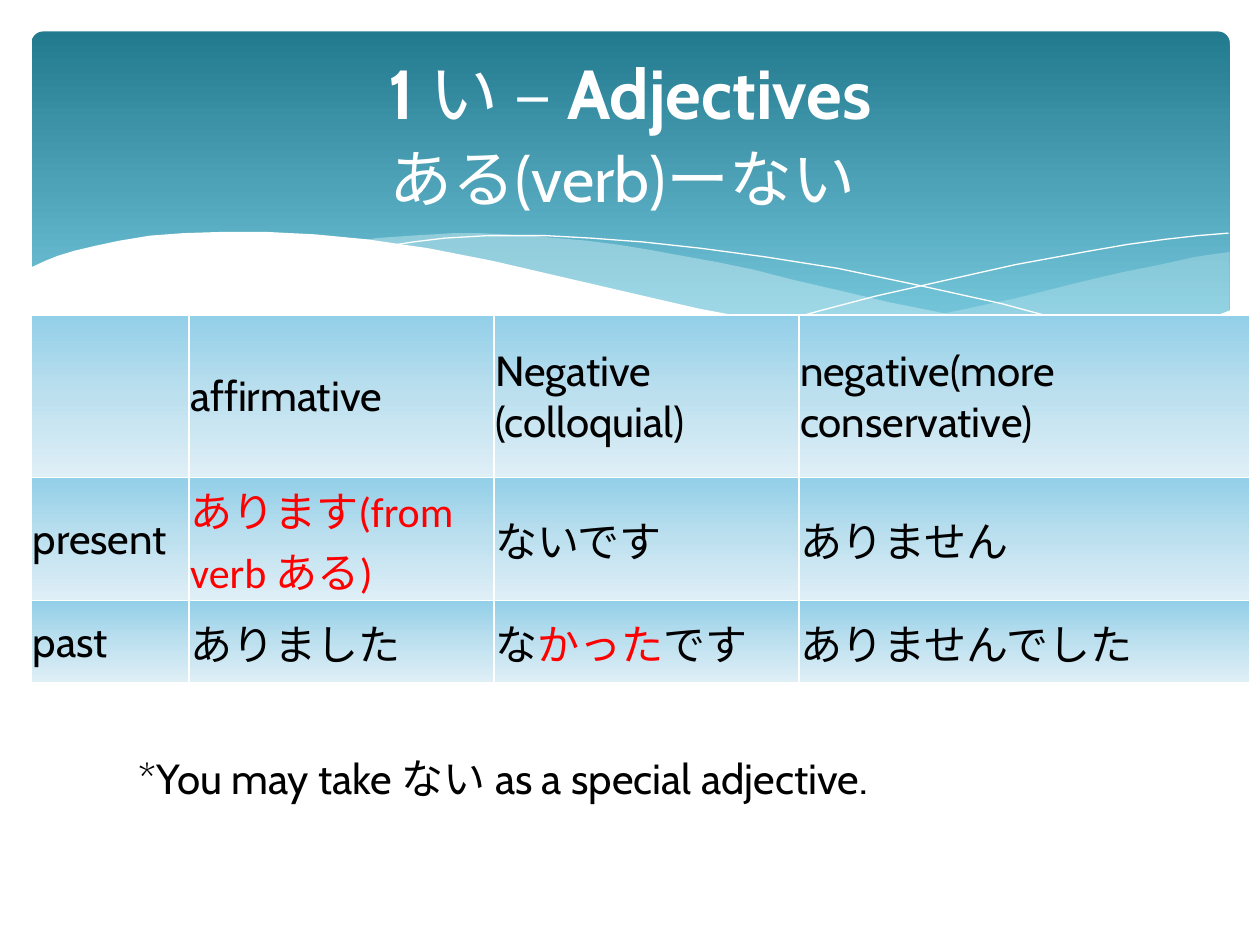
from dataclasses import dataclass
from typing import Optional

from lxml import etree
from pptx import Presentation
from pptx.dml.color import RGBColor
from pptx.enum.shapes import MSO_SHAPE
from pptx.enum.text import MSO_ANCHOR, PP_ALIGN
from pptx.oxml.ns import qn
from pptx.util import Emu, Pt

ROUNDED = MSO_SHAPE.ROUNDED_RECTANGLE
MIDDLE = MSO_ANCHOR.MIDDLE
CENTER = PP_ALIGN.CENTER
PX = 9144  # 100 px to the inch


@dataclass(frozen=True)
class Theme:
    white: str = "FFFFFF"
    black: str = "000000"
    red: str = "FF0000"
    mist: str = "DEF5FA"
    header: tuple = ((0, "227A8F"), (90, "7ACBE0"))
    cell: tuple = ((0, "92CFE8"), (50, "BDE0EF"), (100, "DFEFF6"))
    font: str = "Cabin"
    kana_font: str = "Calibri"
    title_size: float = 39.6
    subtitle_size: float = 36
    body_size: float = 24


THEME = Theme()


@dataclass(frozen=True)
class Span:
    text: str
    color: str = THEME.black
    font: str = THEME.font
    size: float = THEME.body_size
    bold: bool = False


@dataclass(frozen=True)
class Wave:
    points: tuple
    fill: Optional[str] = None
    opacity: int = 100


WAVES = (
    Wave(((975, 200), (948, 204), (921, 210), (891, 216), (861, 223), (805, 237),
          (753, 248), (706, 257), (661, 265), (691, 269), (719, 272), (745, 275),
          (769, 277), (803, 278), (835, 277), (863, 275), (889, 272), (913, 267),
          (935, 262), (949, 257), (976, 247), (976, 200)), THEME.mist, 29),
    Wave(((893, 273), (866, 269), (837, 265), (807, 260), (775, 254), (741, 247),
          (706, 240), (668, 231), (629, 222), (598, 214), (569, 208), (541, 203),
          (514, 198), (489, 194), (465, 191), (442, 189), (420, 187), (399, 186),
          (380, 185), (361, 185), (328, 187), (299, 189), (286, 191), (323, 196),
          (362, 203), (404, 211), (449, 222), (491, 232), (530, 240), (566, 248),
          (601, 255), (634, 261), (665, 266), (695, 270), (722, 274), (748, 276),
          (773, 277), (796, 278), (838, 278), (867, 276)), THEME.mist, 40),
    Wave(((309, 195), (328, 192), (353, 189), (387, 187), (433, 187), (469, 189),
          (510, 192), (556, 197), (608, 204), (665, 213), (727, 226), (795, 241),
          (869, 261), (907, 272))),
    Wave(((613, 257), (653, 246), (695, 235), (748, 223), (806, 210), (866, 199),
          (895, 194), (924, 190), (951, 187), (975, 185))),
    Wave(((977, 246), (959, 253), (940, 259), (920, 265), (899, 269), (875, 273),
          (850, 275), (823, 277), (793, 276), (761, 275), (726, 272), (688, 268),
          (648, 262), (603, 254), (555, 245), (503, 233), (447, 220), (391, 207),
          (340, 197), (292, 190), (250, 186), (211, 184), (177, 184), (146, 185),
          (119, 187), (95, 191), (76, 195), (59, 199), (46, 203), (36, 207),
          (23, 213), (23, 329), (977, 329)), THEME.white),
)

TITLE_LINES = (
    (Span("1 ", THEME.white, size=THEME.title_size, bold=True),
     Span("い – ", THEME.white, size=THEME.title_size),
     Span("Adjectives", THEME.white, size=THEME.title_size, bold=True)),
    (Span("ある(verb)ーない", THEME.white, size=THEME.subtitle_size),
     Span(" ", THEME.white, size=THEME.title_size, bold=True)),
)

# Each cell is a tuple of paragraphs, each paragraph a tuple of spans.
ROWS = (
    ((), ((Span("affirmative"),),),
     ((Span("Negative"),), (Span("(colloquial)"),)),
     ((Span("negative(more conservative)"),),)),
    (((Span("present"),),),
     ((Span("あります(from verb ある)", THEME.red, THEME.kana_font),),),
     ((Span("ないです"),),), ((Span("ありません"),),)),
    (((Span("past"),),),
     ((Span("ありました", font=THEME.kana_font),),),
     ((Span("な"), Span("かった", THEME.red), Span("です")),),
     ((Span("ありませんでした"),),)),
)
COLUMN_WIDTHS = (125, 242, 242, 358)
ROW_HEIGHTS = (129, 65, 65)


def px(*values: int) -> list[Emu]:
    return [Emu(value * PX) for value in values]


def add_spans(para, spans: tuple) -> None:
    for span in spans:
        run = para.add_run()
        run.text = span.text
        run.font.name = span.font
        run.font.size = Pt(span.size)
        run.font.bold = span.bold
        run.font.color.rgb = RGBColor.from_string(span.color)


def fill_gradient(fill, element, stops: tuple) -> None:
    """Give the element a gradient that runs from top to bottom."""
    fill.gradient()
    fill.gradient_angle = 270
    stop_list = element.find(".//" + qn("a:gsLst"))
    for old_stop in list(stop_list):
        stop_list.remove(old_stop)
    for percent, color in stops:
        stop = etree.SubElement(stop_list, qn("a:gs"), pos=str(percent * 1000))
        etree.SubElement(stop, qn("a:srgbClr"), val=color)


def draw_header(page) -> None:
    header = page.shapes.add_shape(ROUNDED, *px(25, 25, 951, 270))
    header.adjustments[0] = 0.034
    header.shadow.inherit = False
    header.line.fill.background()
    fill_gradient(header.fill, header._element, THEME.header)


def draw_wave(page, wave: Wave) -> None:
    closed = wave.fill is not None
    builder = page.shapes.build_freeform(*wave.points[0], scale=PX)
    builder.add_line_segments(wave.points[1:], close=closed)
    shape = builder.convert_to_shape()
    shape.shadow.inherit = False
    if not closed:
        shape.fill.background()
        shape.line.color.rgb = RGBColor.from_string(THEME.white)
        shape.line.width = Pt(0)
        return
    shape.line.fill.background()
    shape.fill.solid()
    shape.fill.fore_color.rgb = RGBColor.from_string(wave.fill)
    if wave.opacity < 100:
        color = shape._element.spPr.find(qn("a:solidFill"))[0]
        etree.SubElement(color, qn("a:alpha"), val=str(wave.opacity * 1000))


def place_title(page) -> None:
    title = page.shapes.title
    title.left, title.top, title.width, title.height = px(50, 37, 900, 137)
    title.text_frame.vertical_anchor = MIDDLE
    para = title.text_frame.paragraphs[0]
    para.alignment = CENTER
    for index, spans in enumerate(TITLE_LINES):
        if index:
            para.add_line_break()
        add_spans(para, spans)
    page.shapes._spTree.append(title._element)  # in front of the header


def format_cell(cell, paragraphs: tuple) -> None:
    cell.margin_left, cell.margin_top, cell.margin_right, cell.margin_bottom = px(1, 1, 1, 0)
    cell.vertical_anchor = MIDDLE
    properties = cell._tc.get_or_add_tcPr()
    for side in "LRTB":
        border = etree.SubElement(properties, qn(f"a:ln{side}"), w=str(Pt(1)))
        color = etree.SubElement(border, qn("a:solidFill"))
        etree.SubElement(color, qn("a:srgbClr"), val=THEME.white)
    fill_gradient(cell.fill, properties, THEME.cell)
    frame = cell.text_frame
    for index, spans in enumerate(paragraphs):
        add_spans(frame.add_paragraph() if index else frame.paragraphs[0], spans)


def draw_table(page) -> None:
    size = px(25, 250, sum(COLUMN_WIDTHS), sum(ROW_HEIGHTS))
    table = page.shapes.add_table(len(ROWS), len(COLUMN_WIDTHS), *size).table
    table.first_row = table.horz_banding = False
    for column, width in zip(table.columns, px(*COLUMN_WIDTHS)):
        column.width = width
    for row, height, contents in zip(table.rows, px(*ROW_HEIGHTS), ROWS):
        row.height = height
        for cell, paragraphs in zip(row.cells, contents):
            format_cell(cell, paragraphs)


def draw_footnote(page) -> None:
    box = page.shapes.add_textbox(*px(100, 592, 617, 50))
    box.text_frame.word_wrap = True
    add_spans(box.text_frame.paragraphs[0],
              (Span("*You may take ない as a special adjective."),))


def main() -> None:
    deck = Presentation()
    deck.slide_width, deck.slide_height = px(1000, 750)
    page = deck.slides.add_slide(deck.slide_layouts[5])
    draw_header(page)
    for wave in WAVES:
        draw_wave(page, wave)
    place_title(page)
    draw_table(page)
    draw_footnote(page)
    deck.save("out.pptx")


if __name__ == "__main__":
    main()
